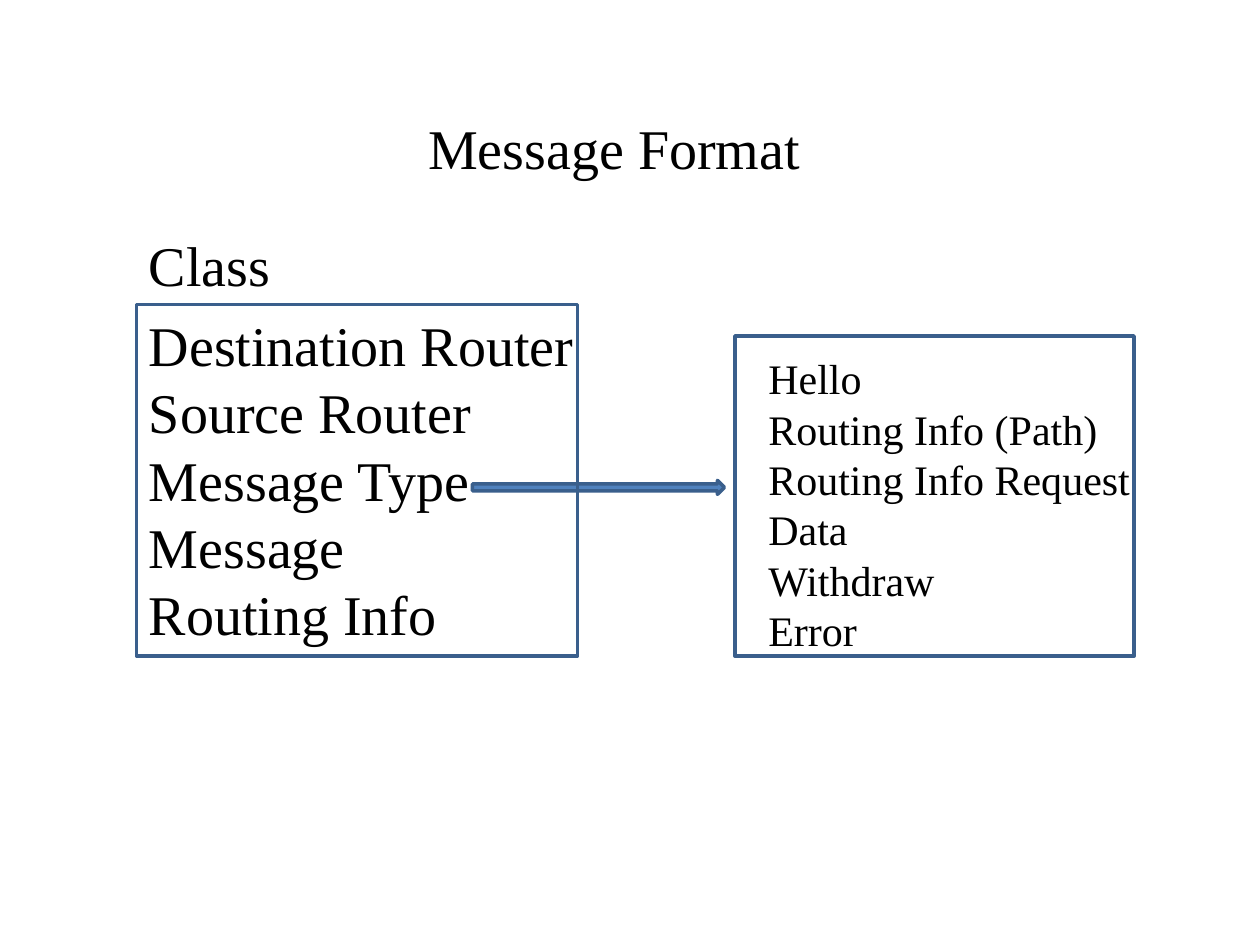
from dataclasses import dataclass

from pptx import Presentation
from pptx import util as u
from pptx.dml.color import RGBColor
from pptx.enum import shapes, text


@dataclass
class Theme:
    font: str = "Times New Roman"
    large: int = 32
    small: int = 24
    ink: RGBColor = RGBColor(0x00, 0x00, 0x00)
    fill: RGBColor = RGBColor(0x4F, 0x81, 0xBD)
    line: RGBColor = RGBColor(0x3A, 0x5F, 0x8C)
    line_width: int = 2


theme = Theme()


def write(sp, lines, size, align=text.PP_ALIGN.LEFT, wrap=True):
    """Fill a shape with one paragraph per line and format its runs."""
    tf = sp.text_frame
    tf.text = "\n".join(lines)
    tf.word_wrap = wrap
    tf.vertical_anchor = text.MSO_ANCHOR.TOP
    tf.auto_size = text.MSO_AUTO_SIZE.SHAPE_TO_FIT_TEXT
    for p in tf.paragraphs:
        p.alignment = align
        for r in p.runs:
            r.font.name = theme.font
            r.font.size = u.Pt(size)
            r.font.color.rgb = theme.ink


def add_outlined(kind, box, fill=None):
    """Add a preset shape with the theme outline and an optional fill."""
    sp = slide.shapes.add_shape(kind, *map(u.Pt, box))
    sp.shadow.inherit = False
    sp.line.color.rgb = theme.line
    sp.line.width = u.Pt(theme.line_width)
    if fill is None:
        sp.fill.background()
    else:
        sp.fill.solid()
        sp.fill.fore_color.rgb = fill


prs = Presentation()
prs.slide_width, prs.slide_height = u.Pt(720), u.Pt(540)
slide = prs.slides.add_slide(prs.slide_layouts[5])

title = slide.shapes.title
title.left, title.top = u.Pt(132), u.Pt(61)
title.width, title.height = u.Pt(438), u.Pt(46)
write(title, ["Message Format"], theme.large, text.PP_ALIGN.CENTER)

fields = ["Destination Router", "Source Router", "Message Type",
          "Message", "Routing Info"]
message_types = ["Hello", "Routing Info (Path)", "Routing Info Request",
                 "Data", "Withdraw", "Error"]

text_blocks = [
    (fields, theme.large, (78, 174, 450, 201), True),
    (message_types, theme.small, (432, 198, 246, 181.5), True),
    (["Class"], theme.large, (78, 128, 85, 46), False),
]
for lines, size, box, wrap in text_blocks:
    sp = slide.shapes.add_textbox(*map(u.Pt, box))
    write(sp, lines, size, wrap=wrap)

add_outlined(shapes.MSO_SHAPE.RIGHT_ARROW, (270, 274.5, 144, 8), theme.fill)
for frame in [(420, 192, 228, 183), (78, 174, 252, 201)]:
    add_outlined(shapes.MSO_SHAPE.RECTANGLE, frame)

prs.save("out.pptx")
